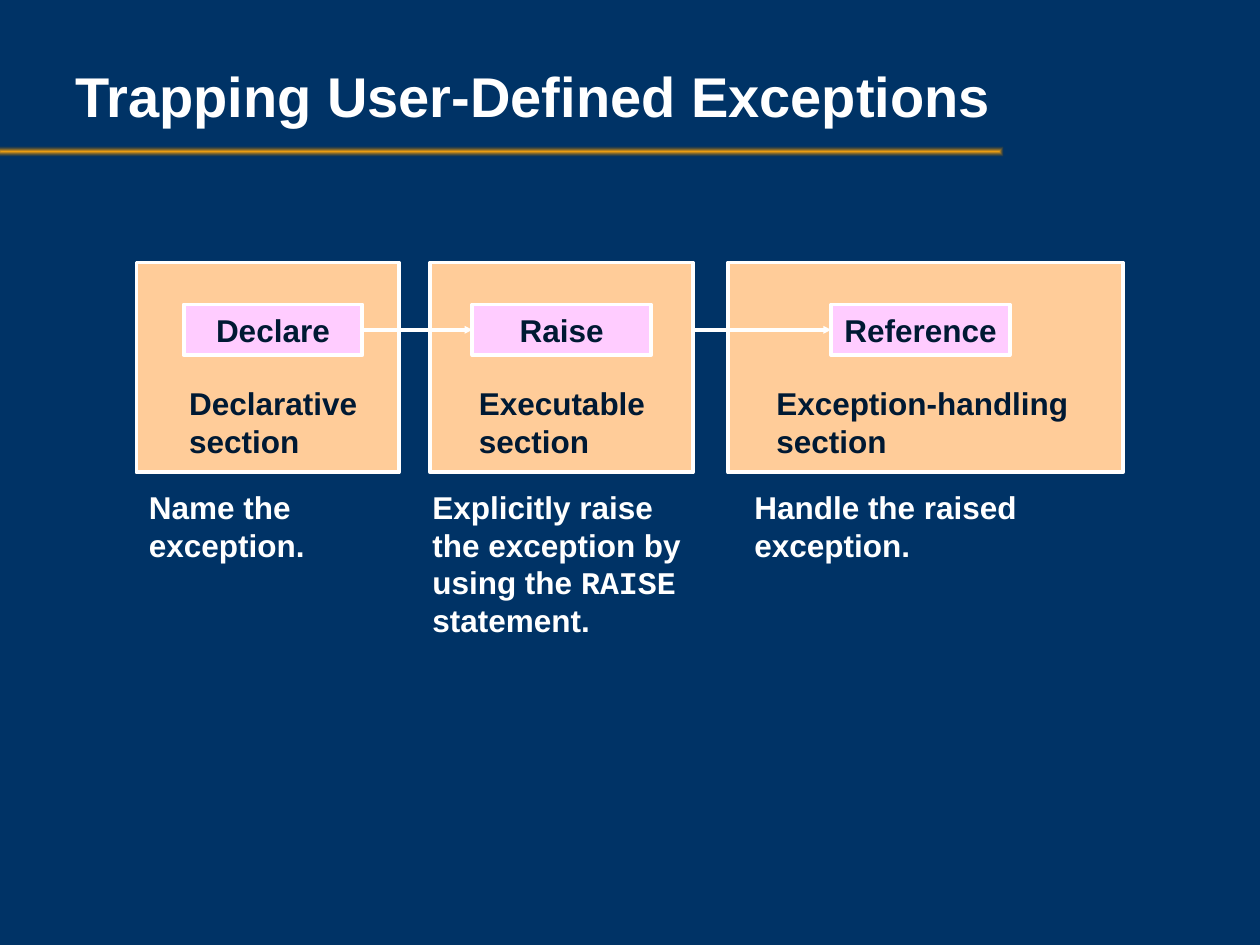
from collections import namedtuple
from dataclasses import dataclass

from lxml import etree
from pptx import Presentation
from pptx.dml.color import RGBColor
from pptx.enum.shapes import MSO_CONNECTOR, MSO_SHAPE
from pptx.enum.text import MSO_ANCHOR, PP_ALIGN
from pptx.oxml import parse_xml
from pptx.oxml.ns import nsdecls, qn
from pptx.util import Pt

RECTANGLE = MSO_SHAPE.RECTANGLE
STRAIGHT = MSO_CONNECTOR.STRAIGHT
TOP, MIDDLE = MSO_ANCHOR.TOP, MSO_ANCHOR.MIDDLE
LEFT, CENTER = PP_ALIGN.LEFT, PP_ALIGN.CENTER
LEFT_SIDE, RIGHT_SIDE = 1, 3

Box = namedtuple("Box", "left top width height")
Stage = namedtuple("Stage", "panel chip_left step section_box section caption_box caption")


@dataclass(frozen=True)
class Theme:
    background: str = "003366"
    white: str = "FFFFFF"
    ink: str = "001933"
    panel: str = "FFCC99"
    chip: str = "FFCCFF"
    gold: str = "FAA712"
    bronze: str = "744D08"
    font: str = "Arial"
    code_font: str = "Courier New"
    title_size: int = 32
    body_size: int = 18
    line_width: float = 2.25


THEME = Theme()
CHIP_TOP, CHIP_WIDTH, CHIP_HEIGHT = 174, 102, 29

STAGES = [
    Stage(Box(78, 150, 150, 120), 105, "Declare",
          Box(101, 216, 120, 50), ["Declarative", "section"],
          Box(78, 275.25, 138, 55), [[("Name the", THEME.font)], [("exception.", THEME.font)]]),
    Stage(Box(246, 150, 150, 120), 270, "Raise",
          Box(266.5, 216, 120, 50), ["Executable", "section"],
          Box(240, 275.25, 162, 108),
          [[("Explicitly raise the exception by using the ", THEME.font),
            ("RAISE", THEME.code_font), (" statement.", THEME.font)]]),
    Stage(Box(416, 150, 225.5, 120), 475, "Reference",
          Box(436.5, 216, 195, 50), ["Exception-handling", "section"],
          Box(424, 275.25, 206, 48), [[("Handle the raised exception.", THEME.font)]]),
]


def points(box):
    return [Pt(value) for value in box]


def color(code):
    return RGBColor.from_string(code)


def add_span(para, text, code, size=THEME.body_size, font=THEME.font):
    span = para.add_run()
    span.text = text
    span.font.name = font
    span.font.size = Pt(size)
    span.font.bold = True
    span.font.color.rgb = color(code)


def add_text_box(page, box, anchor=TOP):
    frame = page.shapes.add_textbox(*points(box)).text_frame
    frame.word_wrap = True
    frame.vertical_anchor = anchor
    return frame


def add_rectangle(page, box, fill):
    shape = page.shapes.add_shape(RECTANGLE, *points(box))
    shape.shadow.inherit = False
    shape.fill.solid()
    shape.fill.fore_color.rgb = color(fill)
    shape.line.color.rgb = color(THEME.white)
    shape.line.width = Pt(THEME.line_width)
    return shape


def add_heading(page, box, text):
    para = add_text_box(page, box, MIDDLE).paragraphs[0]
    para.alignment = LEFT
    add_span(para, text, THEME.white, THEME.title_size)


def add_rule(page, box):
    rule = page.shapes.add_shape(RECTANGLE, *points(box))
    rule.shadow.inherit = False
    rule.line.fill.background()
    gradient = parse_xml(
        f'<a:gradFill {nsdecls("a")} rotWithShape="1"><a:gsLst>'
        f'<a:gs pos="0"><a:srgbClr val="{THEME.gold}"/></a:gs>'
        f'<a:gs pos="100000"><a:srgbClr val="{THEME.bronze}"><a:alpha val="0"/></a:srgbClr>'
        '</a:gs></a:gsLst>'
        '<a:path path="rect"><a:fillToRect l="50000" t="50000" r="50000" b="50000"/>'
        '</a:path></a:gradFill>')
    rule.element.spPr.find(qn("a:prstGeom")).addnext(gradient)


def add_chip(page, box, text):
    chip = add_rectangle(page, box, THEME.chip)
    frame = chip.text_frame
    frame.word_wrap = False
    frame.vertical_anchor = MIDDLE
    para = frame.paragraphs[0]
    para.alignment = CENTER
    add_span(para, text, THEME.ink)
    return chip


def add_stage(page, stage):
    add_rectangle(page, stage.panel, THEME.panel)
    section = add_text_box(page, stage.section_box)
    for index, line in enumerate(stage.section):
        para = section.add_paragraph() if index else section.paragraphs[0]
        add_span(para, line, THEME.ink)
    para = add_text_box(page, stage.caption_box).paragraphs[0]
    for index, line in enumerate(stage.caption):
        if index:
            para.add_line_break()
        for text, font in line:
            add_span(para, text, THEME.white, font=font)
    chip_box = Box(stage.chip_left, CHIP_TOP, CHIP_WIDTH, CHIP_HEIGHT)
    return add_chip(page, chip_box, stage.step)


def add_arrow(page, start_x, target, source=None):
    middle = target.top + target.height // 2
    arrow = page.shapes.add_connector(STRAIGHT, start_x, middle, target.left, middle)
    if source is not None:
        arrow.begin_connect(source, RIGHT_SIDE)
    arrow.end_connect(target, LEFT_SIDE)
    arrow.line.color.rgb = color(THEME.white)
    arrow.line.width = Pt(THEME.line_width)
    properties = arrow.element.spPr
    etree.SubElement(properties.find(qn("a:ln")), qn("a:tailEnd"),
                     type="triangle", w="sm", len="sm")
    etree.SubElement(properties, qn("a:effectLst"))


def main():
    deck = Presentation()
    deck.slide_width, deck.slide_height = Pt(720), Pt(540)
    page = deck.slides.add_slide(deck.slide_layouts[6])
    page.background.fill.solid()
    page.background.fill.fore_color.rgb = color(THEME.background)

    add_rule(page, Box(-2, 83.75, 575.5, 5.5))
    add_heading(page, Box(36, 12.5, 618, 84), "Trapping User-Defined Exceptions")
    declare, raising, reference = [add_stage(page, stage) for stage in STAGES]
    add_arrow(page, declare.left + declare.width, raising, declare)
    executable = STAGES[1].panel
    add_arrow(page, Pt(executable.left + executable.width), reference)
    deck.save("out.pptx")


if __name__ == "__main__":
    main()
